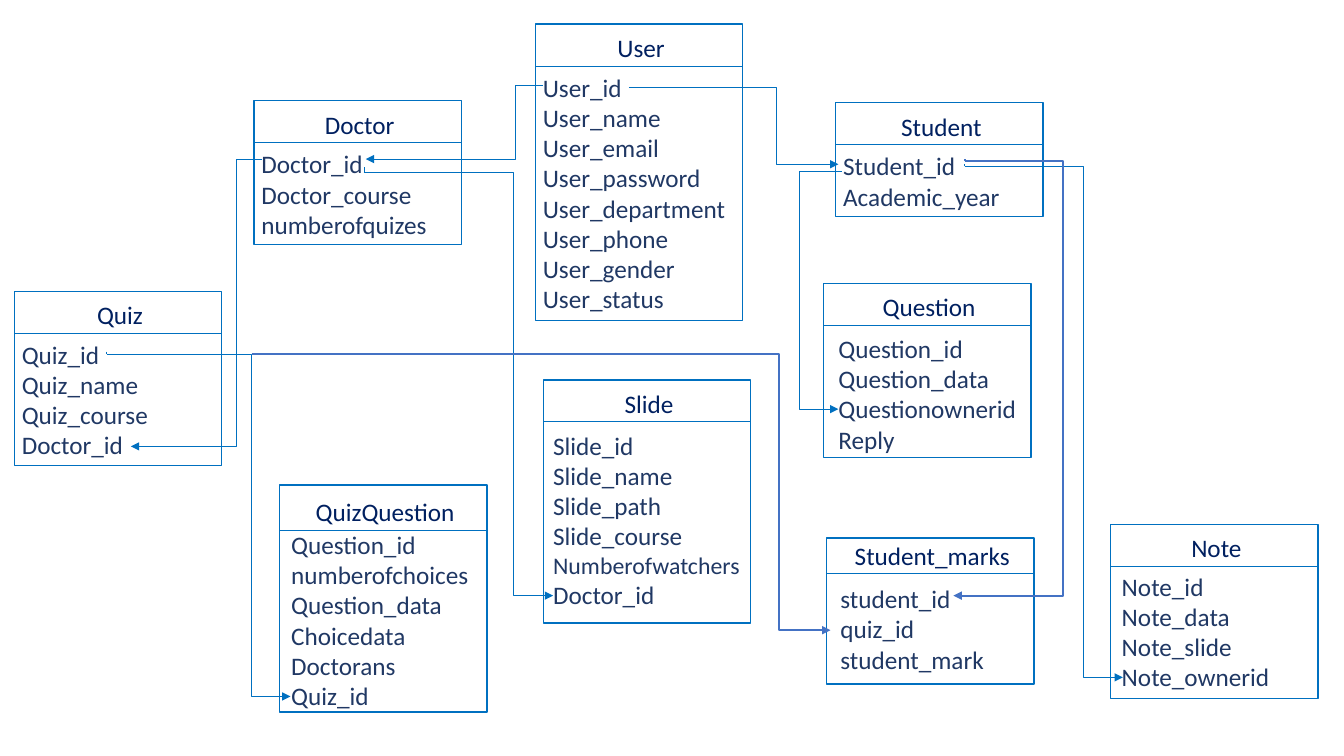
from dataclasses import dataclass

from lxml.etree import SubElement
from pptx import Presentation
from pptx.dml.color import RGBColor
from pptx.enum.shapes import MSO_CONNECTOR, MSO_SHAPE
from pptx.enum.text import PP_ALIGN
from pptx.oxml.ns import qn
from pptx.util import Cm, Pt

BORDER = RGBColor(0x00, 0x70, 0xC0)
MARKS_LINK = RGBColor(0x44, 0x72, 0xC4)
TITLE = RGBColor(0x00, 0x20, 0x60)
FIELD = RGBColor(0x20, 0x38, 0x64)
ENTITY_WIDTH = 5.23
LONGEST_FULL_SIZE = 15


@dataclass
class Entity:
    """A table of the schema, with its box and text offsets in centimetres."""
    name: str
    left: float
    top: float
    height: float
    fields: str
    header: float = 1.05
    indent: float = -0.06
    gap: float = 0.03


@dataclass
class Relation:
    """A key link that runs across, down and across, in centimetres."""
    start: tuple
    bend: float
    end: tuple
    stub: float = 0
    color: RGBColor = BORDER
    width: float = 0.5


ENTITIES = [
    Entity("User", 13.49, 0.61, 7.47,
           "User_id User_name User_email User_password User_department "
           "User_phone User_gender User_status"),
    Entity("Doctor", 6.4, 2.54, 3.63, "Doctor_id Doctor_course numberofquizes"),
    Entity("Student", 21.06, 2.59, 2.87, "Student_id Academic_year"),
    Entity("Slide", 13.69, 9.58, 6.12,
           "Slide_id Slide_name Slide_path Slide_course Numberofwatchers Doctor_id",
           indent=0, gap=0.08),
    Entity("Question", 20.75, 7.14, 4.39,
           "Question_id Question_data Questionownerid Reply", indent=0.13, gap=0.08),
    Entity("Quiz", 0.36, 7.34, 4.39, "Quiz_id Quiz_name Quiz_course Doctor_id"),
    Entity("QuizQuestion", 7.04, 12.22, 5.72,
           "Question_id numberofchoices Question_data Choicedata Doctorans Quiz_id",
           header=1.14, indent=0.05, gap=-0.15),
    Entity("Note", 27.99, 13.21, 4.39, "Note_id Note_data Note_slide Note_ownerid",
           indent=0.03, gap=0),
    Entity("Student_marks", 20.83, 13.56, 3.68, "student_id quiz_id student_mark",
           header=0.89, indent=0.1, gap=0.13),
]

RELATIONS = [
    Relation((13.69, 2.16), 13, (9.22, 4.01)),
    Relation((15.85, 2.21), 19.56, (21.13, 4.14)),
    Relation((9.17, 4.34), 12.95, (13.94, 15.01), stub=0.12),
    Relation((6.6, 4.01), 5.97, (3.3, 11.25)),
    Relation((2.69, 8.92), 6.35, (7.32, 17.55), stub=0.06),
    Relation((24.31, 4.19), 27.31, (28.3, 17.07), stub=0.05),
    Relation((21.21, 4.32), 20.14, (21.13, 10.31)),
    Relation((24.31, 4.06), 26.8, (24.03, 15.01), 0.05, MARKS_LINK, 1.5),
    Relation((6.35, 8.92), 19.63, (20.93, 15.88), 0, MARKS_LINK, 1.5),
]


def add_line(slide, kind, start, end, color, width):
    """Draw a connector without shadow and return its spPr element."""
    connector = slide.shapes.add_connector(kind, *map(Cm, start + end))
    connector.line.color.rgb = color
    connector.line.width = Pt(width)
    properties = connector.element.spPr
    SubElement(properties, qn("a:effectLst"))
    return properties


def add_lines_of_text(slide, box, lines, color, align):
    """Write one paragraph per line in a text box."""
    frame = slide.shapes.add_textbox(*map(Cm, box)).text_frame
    frame.word_wrap = True
    frame.text = "\n".join(lines)
    for paragraph in frame.paragraphs:
        paragraph.alignment = align
        paragraph.font.name = "Calibri"
        paragraph.font.size = Pt(17 if len(paragraph.text) > LONGEST_FULL_SIZE else 18)
        paragraph.font.color.rgb = color


def add_entity(slide, entity):
    """Draw a table's frame, header rule, name and fields."""
    left, top = entity.left, entity.top
    frame = slide.shapes.add_shape(
        MSO_SHAPE.RECTANGLE, *map(Cm, (left, top, ENTITY_WIDTH, entity.height)))
    frame.shadow.inherit = False
    frame.fill.background()
    frame.line.color.rgb = BORDER
    frame.line.width = Pt(1)
    rule = top + entity.header
    add_line(slide, MSO_CONNECTOR.STRAIGHT, (left, rule),
             (left + ENTITY_WIDTH, rule), BORDER, 0.5)
    add_lines_of_text(slide, (left + 0.05, rule - 0.97, ENTITY_WIDTH, 1.02),
                      [entity.name], TITLE, PP_ALIGN.CENTER)
    fields = entity.fields.split()
    add_lines_of_text(
        slide, (left + entity.indent, rule + entity.gap, 5.28, 0.25 + 0.77 * len(fields)),
        fields, FIELD, PP_ALIGN.LEFT)


def add_relation(slide, relation):
    """Draw a bent arrow from one key to another."""
    (x, y), (end_x, _) = relation.start, relation.end
    properties = add_line(slide, MSO_CONNECTOR.ELBOW, relation.start, relation.end,
                          relation.color, relation.width)
    bend = round((relation.bend - x) / (end_x - x) * 100000)
    adjustments = properties.find(qn("a:prstGeom")).find(qn("a:avLst"))
    SubElement(adjustments, qn("a:gd"), name="adj1", fmla=f"val {bend}")
    SubElement(properties.find(qn("a:ln")), qn("a:tailEnd"), type="triangle")
    if relation.stub:
        add_line(slide, MSO_CONNECTOR.STRAIGHT, (x, y - relation.stub), (x, y),
                 relation.color, relation.width)


def add_schema(slide):
    """Draw all tables and the links between them."""
    for entity in ENTITIES:
        add_entity(slide, entity)
    for relation in RELATIONS:
        add_relation(slide, relation)


presentation = Presentation()
presentation.slide_width = Cm(33.87)
presentation.slide_height = Cm(19.05)
add_schema(presentation.slides.add_slide(presentation.slide_layouts[6]))
presentation.save("out.pptx")
